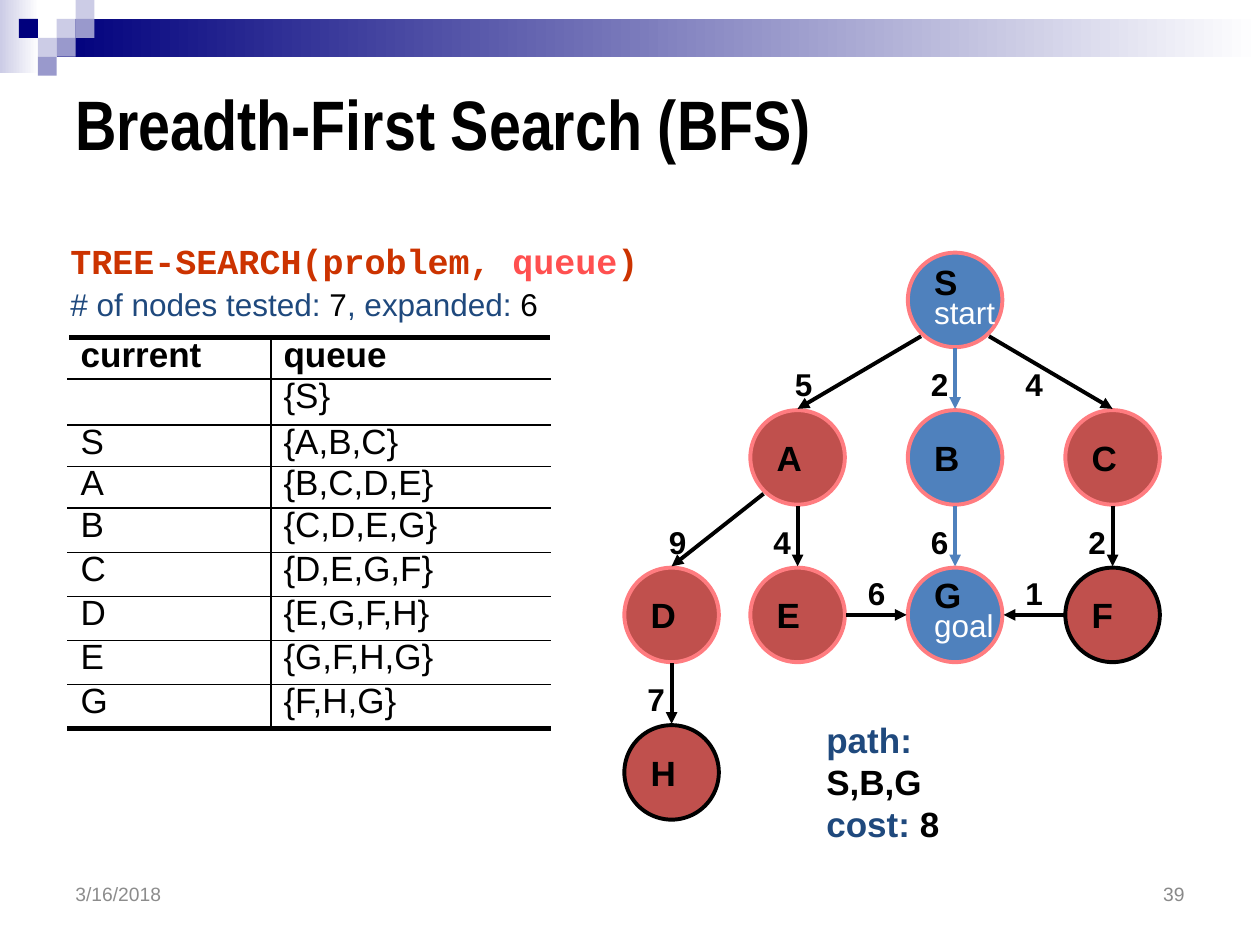
from lxml import etree
from pptx import Presentation
from pptx.dml.color import RGBColor
from pptx.enum.shapes import MSO_CONNECTOR, MSO_SHAPE
from pptx.enum.text import MSO_ANCHOR, PP_ALIGN
from pptx.oxml.ns import qn
from pptx.util import Inches, Pt

RECT, OVAL = MSO_SHAPE.RECTANGLE, MSO_SHAPE.OVAL
STRAIGHT = MSO_CONNECTOR.STRAIGHT
TOP, MIDDLE = MSO_ANCHOR.TOP, MSO_ANCHOR.MIDDLE
LEFT, RIGHT = PP_ALIGN.LEFT, PP_ALIGN.RIGHT

BLACK, WHITE, NAVY, TEXT_BLUE = "000000", "FFFFFF", "00007D", "1F497D"
LILAC, VIOLET = "CCCCE6", "9999CC"
BLUE, RED, PINK = "4F81BD", "C0504D", "FF7C80"

TILE = 0.15
COLUMNS = [5.33, 6.33, 7.58, 8.83]
FIRST_ROW, ROW_STEP = 2.38, 1.25
DIAMETER, GAP = 0.75, 0.01
SIDES = {"top": (0, -1), "bottom": (0, 1), "left": (-1, 0), "right": (1, 0),
         "lower left": (-0.7, 0.75), "lower right": (0.7, 0.75)}

NODES = {
    "S": (2, 0, BLUE, PINK, "start", 0.75),
    "A": (1, 1, RED, PINK, None, 1),
    "B": (2, 1, BLUE, PINK, None, 1),
    "C": (3, 1, RED, PINK, None, 1),
    "D": (0, 2, RED, PINK, None, 1),
    "E": (1, 2, RED, PINK, None, 1),
    "G": (2, 2, BLUE, PINK, "goal", 0.65),
    "F": (3, 2, RED, BLACK, None, 1),
    "H": (0, 3, RED, BLACK, None, 1),
}
EDGES = [
    ("S", "lower left", "A", "top", BLACK, "5", 6.21, 2.85),
    ("S", "bottom", "B", "top", BLUE, "2", 7.29, 2.85),
    ("S", "lower right", "C", "top", BLACK, "4", 8.04, 2.85),
    ("A", "lower left", "D", "top", BLACK, "9", 5.21, 4.1),
    ("A", "bottom", "E", "top", BLACK, "4", 6.04, 4.1),
    ("B", "bottom", "G", "top", BLUE, "6", 7.29, 4.1),
    ("C", "bottom", "F", "top", BLACK, "2", 8.54, 4.1),
    ("E", "right", "G", "left", BLACK, "6", 6.79, 4.51),
    ("F", "left", "G", "right", BLACK, "1", 8.04, 4.51),
    ("D", "bottom", "H", "top", BLACK, "7", 5.04, 5.35),
]
STEPS = [("current", "queue"), ("", "{S}"), ("S", "{A,B,C}"),
         ("A", "{B,C,D,E}"), ("B", "{C,D,E,G}"), ("C", "{D,E,G,F}"),
         ("D", "{E,G,F,H}"), ("E", "{G,F,H,G}"), ("G", "{F,H,G}")]
ROW_HEIGHTS = [0.33, 0.36, 0.33, 0.33] + [0.35] * 5


def rgb(color):
    """Turn a hex string into a colour."""
    return RGBColor.from_string(color)


def style(font, size, color, bold=False, name="Arial"):
    """Set the look of a font."""
    font.size, font.bold, font.name = Pt(size), bold, name
    font.color.rgb = rgb(color)


def add_text(s, box, lines, size, bold=False, name="Arial", anchor=TOP,
             align=LEFT, wrap=True):
    """Add a text box whose lines are lists of (text, colour) runs."""
    tf = s.shapes.add_textbox(*map(Inches, box)).text_frame
    tf.word_wrap, tf.vertical_anchor = wrap, anchor
    for i, line in enumerate(lines):
        p = tf.add_paragraph() if i else tf.paragraphs[0]
        p.alignment = align
        for text, color in line:
            r = p.add_run()
            r.text = text
            style(r.font, size, color, bold, name)


def add_bar(s, x, y, w, h, start, end=None):
    """Add a borderless rectangle, solid or fading to a second colour."""
    sp = s.shapes.add_shape(RECT, *map(Inches, (x, y, w, h)))
    sp.shadow.inherit = False
    sp.line.fill.background()
    if end is None:
        sp.fill.solid()
        sp.fill.fore_color.rgb = rgb(start)
        return
    sp.fill.gradient()
    sp.fill.gradient_angle = 0
    for stop, color in zip(sp.fill.gradient_stops, (start, end)):
        stop.color.rgb = rgb(color)


def add_banner(s):
    """Add the fading bands and the mosaic of small tiles."""
    add_bar(s, 0, 0, 0.31, 0.58, LILAC, WHITE)
    add_bar(s, 0.45, TILE, 9.55, 2 * TILE, NAVY, WHITE)
    tiles = [(3, 1, LILAC), (4, 0, LILAC), (4, 1, VIOLET), (2, 2, LILAC),
             (1, 1, NAVY), (3, 2, VIOLET), (2, 3, VIOLET)]
    for col, row, color in tiles:
        add_bar(s, col * TILE, row * TILE, TILE, TILE, color)


def center(node):
    """Return the centre of a tree node."""
    col, row = NODES[node][:2]
    return COLUMNS[col], FIRST_ROW + row * ROW_STEP


def add_node(s, node):
    """Add a circle with the node's letter and an optional caption."""
    fill, line, caption, spacing = NODES[node][2:]
    box = [c - DIAMETER / 2 for c in center(node)] + [DIAMETER] * 2
    sp = s.shapes.add_shape(OVAL, *map(Inches, box))
    sp.shadow.inherit = False
    sp.fill.solid()
    sp.fill.fore_color.rgb = rgb(fill)
    sp.line.color.rgb, sp.line.width = rgb(line), Pt(2.25)
    tf = sp.text_frame
    tf.word_wrap, tf.vertical_anchor = False, MIDDLE
    tf.text = node
    p = tf.paragraphs[0]
    p.alignment, p.line_spacing = LEFT, spacing
    style(p.runs[0].font, 20, BLACK, True)
    if caption:
        p = tf.add_paragraph()
        p.text = caption
        p.alignment, p.line_spacing = LEFT, 0.75
        style(p.runs[0].font, 18, WHITE)


def rim(node, side):
    """Return the point just outside a node on the given side."""
    return [Inches(c + d * (DIAMETER / 2 + GAP))
            for c, d in zip(center(node), SIDES[side])]


def add_edge(s, start, start_side, end, end_side, color, weight, x, y):
    """Add an arrow between two nodes and its weight."""
    line = s.shapes.add_connector(STRAIGHT, *rim(start, start_side),
                                  *rim(end, end_side))
    line.line.color.rgb, line.line.width = rgb(color), Pt(2.25)
    ln = line.line._get_or_add_ln()
    etree.SubElement(ln, qn("a:tailEnd"), type="triangle")
    etree.SubElement(line._element.spPr, qn("a:effectLst"))
    add_text(s, (x, y, 0.34, 0.4), [[(weight, BLACK)]], 18, True, wrap=False)


def add_border(cell, side, width):
    """Add a black border to one side of a cell."""
    ln = etree.SubElement(cell._tc.get_or_add_tcPr(), qn("a:ln" + side),
                          w=str(Pt(width)))
    fill = etree.SubElement(ln, qn("a:solidFill"))
    etree.SubElement(fill, qn("a:srgbClr"), val=BLACK)


def add_steps(s):
    """Add the table of the current node and the queue."""
    box = (0.54, 2.68, 3.83, sum(ROW_HEIGHTS))
    table = s.shapes.add_table(len(STEPS), 2, *map(Inches, box)).table
    table.first_row = table.horz_banding = False
    for column, width in zip(table.columns, (1.61, 2.22)):
        column.width = Inches(width)
    last = len(STEPS) - 1
    for i, step in enumerate(STEPS):
        table.rows[i].height = Inches(ROW_HEIGHTS[i])
        for j, text in enumerate(step):
            cell = table.cell(i, j)
            cell.margin_left, cell.margin_top = Inches(0.1), Inches(0.01)
            cell.margin_right = cell.margin_bottom = Inches(0.02)
            cell.text = text
            p = cell.text_frame.paragraphs[0]
            p.line_spacing, p.space_before = 0.9, Pt(2)
            style(p.font, 20, BLACK, i == 0)
            for r in p.runs:
                style(r.font, 20, BLACK, i == 0)
            add_border(cell, "L" if j else "R", 1)
            add_border(cell, "T", 1 if i else 3)
            add_border(cell, "B", 3 if i == last else 1)
            cell.fill.background()


def main():
    """Build the slide and save it."""
    prs = Presentation()
    prs.slide_width, prs.slide_height = Inches(10), Inches(7.5)
    s = prs.slides.add_slide(prs.slide_layouts[6])
    add_banner(s)
    add_text(s, (0.5, 0.45, 9, 1.05), [[("Breadth-First Search (BFS)", BLACK)]],
             40, True, "Arial Narrow", MIDDLE)
    add_text(s, (0.5, 6.92, 2.33, 0.35), [[("3/16/2018", "8C8C8C")]], 11,
             anchor=MIDDLE)
    add_text(s, (7.17, 6.92, 2.33, 0.35), [[("39", "898989")]], 11,
             anchor=MIDDLE, align=RIGHT)
    add_text(s, (0.46, 1.85, 4.75, 0.44),
             [[("TREE-SEARCH(problem, ", "CC3300"), ("queue", "FF5050"),
               (")", "CC3300")]], 20, True, "Courier New")
    add_text(s, (0.46, 2.21, 3.91, 0.4),
             [[("# of nodes tested:", TEXT_BLUE), (" 7", BLACK),
               (", expanded:", TEXT_BLUE), (" 6", BLACK)]], 18, wrap=False)
    add_steps(s)
    for node in NODES:
        add_node(s, node)
    for edge in EDGES:
        add_edge(s, *edge)
    add_text(s, (6.46, 5.65, 1.71, 1.1),
             [[("path:", TEXT_BLUE)], [("S,B,G", BLACK)],
              [("cost:", TEXT_BLUE), (" 8", BLACK)]], 20, True)
    prs.save("out.pptx")


if __name__ == "__main__":
    main()
